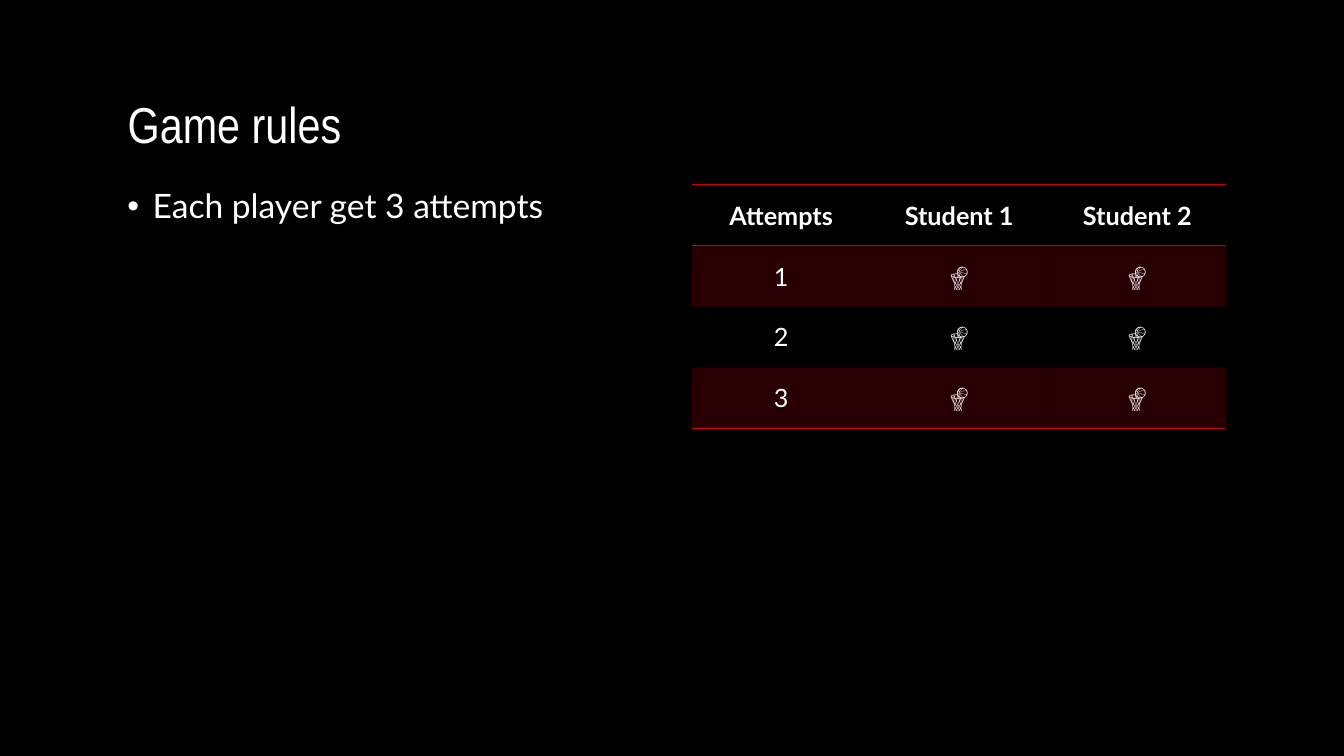
from pptx import Presentation
from pptx.dml.color import RGBColor
from pptx.enum import text
from pptx.oxml.ns import qn
from pptx.util import Pt
from lxml import etree

BLACK = RGBColor(0x00, 0x00, 0x00)
WHITE = RGBColor(0xFF, 0xFF, 0xFF)
RED = RGBColor(0xCD, 0x02, 0x05)

LEFT, TOP = 84, 132
COLUMN_W = 381.6
TABLE_LEFT = 494.4
ROW_H = 43.56
NO_STYLE = "{2D5ABB26-0587-4C30-8999-92F81FD0307C}"

BALL = "🏀"
SCORES = [["Attempts", "Student 1", "Student 2"]]
SCORES += [[str(n), BALL, BALL] for n in (1, 2, 3)]


def write(tf, content, font="Lato", size=18, bold=False, align=text.PP_ALIGN.LEFT,
          anchor=text.MSO_ANCHOR.TOP, line_spacing=None, before=None):
    tf.word_wrap = True
    tf.vertical_anchor = anchor
    p = tf.paragraphs[0]
    p.alignment = align
    p.line_spacing = line_spacing
    if before is not None:
        p.space_before = Pt(before)
    r = p.add_run()
    r.text = content
    r.font.name, r.font.size, r.font.bold = font, Pt(size), bold
    r.font.color.rgb = WHITE
    return p


def add_bullet(p, indent):
    pPr = p._p.get_or_add_pPr()
    pPr.set("marL", str(Pt(indent)))
    pPr.set("indent", str(-Pt(indent)))
    etree.SubElement(pPr, qn("a:buFont"), typeface="Arial")
    etree.SubElement(pPr, qn("a:buChar"), char="•")


def set_border(cell, side, color=None):
    ln = etree.SubElement(cell._tc.get_or_add_tcPr(), qn("a:" + side), w=str(Pt(1)))
    if color is None:
        etree.SubElement(ln, qn("a:noFill"))
    else:
        fill = etree.SubElement(ln, qn("a:solidFill"))
        etree.SubElement(fill, qn("a:srgbClr"), val=str(color))


def tint(cell, color, opacity):
    cell.fill.solid()
    cell.fill.fore_color.rgb = color
    clr = cell._tc.tcPr.find(qn("a:solidFill")).find(qn("a:srgbClr"))
    etree.SubElement(clr, qn("a:alpha"), val=str(opacity * 1000))


def add_title(slide, content):
    sp = slide.shapes.title
    sp.left, sp.top, sp.width, sp.height = Pt(LEFT), Pt(24), Pt(792), Pt(90)
    write(sp.text_frame, content, font="Arial Narrow", size=36,
          anchor=text.MSO_ANCHOR.BOTTOM, line_spacing=0.9)


def add_rule(slide, content):
    sp = slide.shapes.add_textbox(Pt(LEFT), Pt(TOP), Pt(COLUMN_W), Pt(342))
    p = write(sp.text_frame, content, size=24, line_spacing=0.9, before=18)
    add_bullet(p, 18)


def add_score_table(slide, rows):
    n_rows, n_cols = len(rows), len(rows[0])
    frame = slide.shapes.add_table(n_rows, n_cols, Pt(TABLE_LEFT), Pt(TOP),
                                   Pt(COLUMN_W), Pt(ROW_H * n_rows))
    table = frame.table
    table._tbl.tblPr.find(qn("a:tableStyleId")).text = NO_STYLE
    ruled = (0, 1, n_rows)  # horizontal grid lines that are drawn
    for i, row in enumerate(rows):
        table.rows[i].height = Pt(ROW_H)
        for j, value in enumerate(row):
            cell = table.cell(i, j)
            write(cell.text_frame, value, bold=i == 0, align=text.PP_ALIGN.CENTER)
            cell.vertical_anchor = text.MSO_ANCHOR.MIDDLE
            set_border(cell, "lnL")
            set_border(cell, "lnR")
            set_border(cell, "lnT", RED if i in ruled else None)
            set_border(cell, "lnB", RED if i + 1 in ruled else None)
            if i % 2:
                tint(cell, RED, 20)
            else:
                cell.fill.background()


def main():
    prs = Presentation()
    prs.slide_width, prs.slide_height = Pt(960), Pt(540)
    slide = prs.slides.add_slide(prs.slide_layouts[5])
    slide.background.fill.solid()
    slide.background.fill.fore_color.rgb = BLACK

    # Heading and rule
    add_title(slide, "Game rules")
    add_rule(slide, "Each player get 3 attempts")

    # Score sheet
    add_score_table(slide, SCORES)
    prs.save("out.pptx")


if __name__ == "__main__":
    main()
